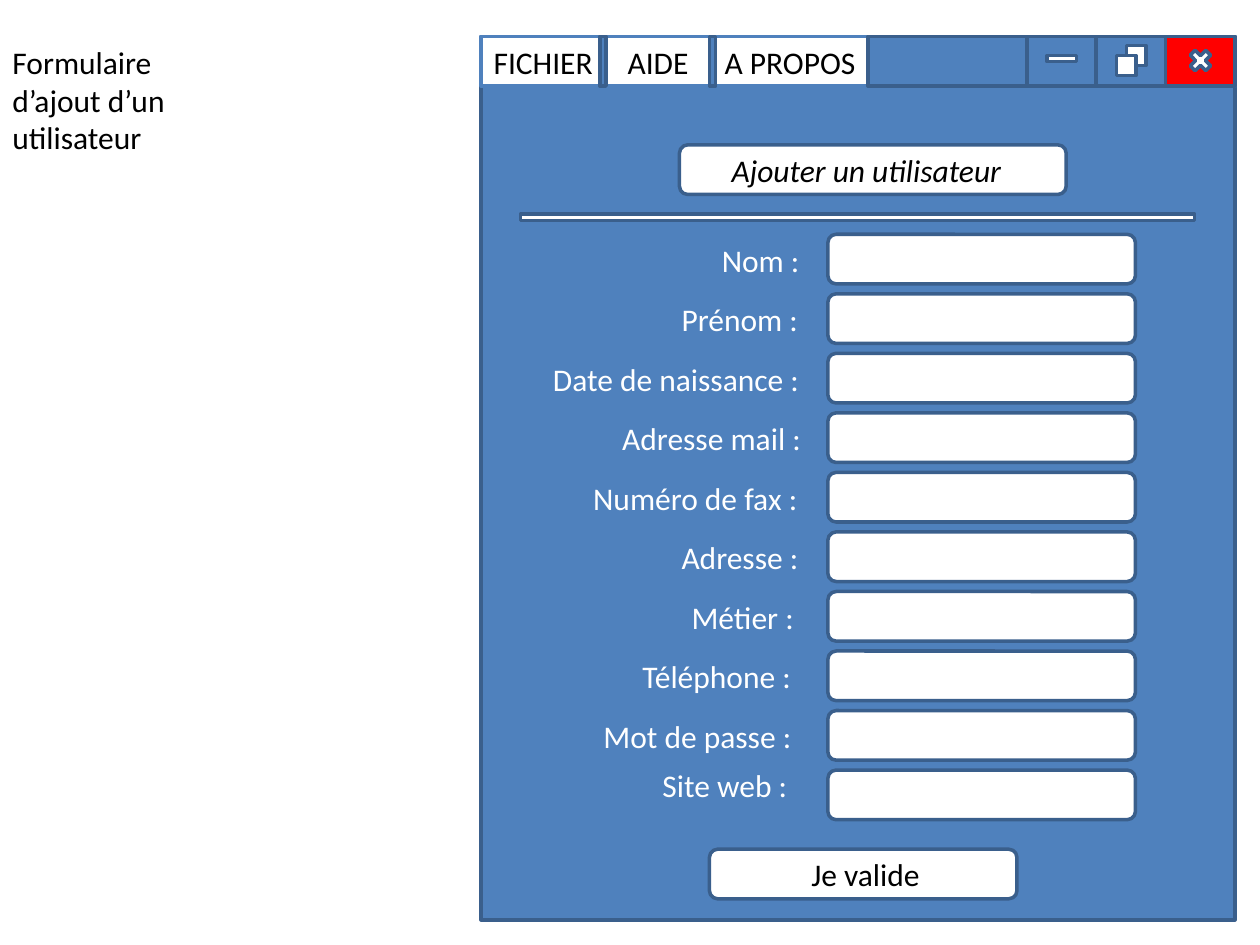
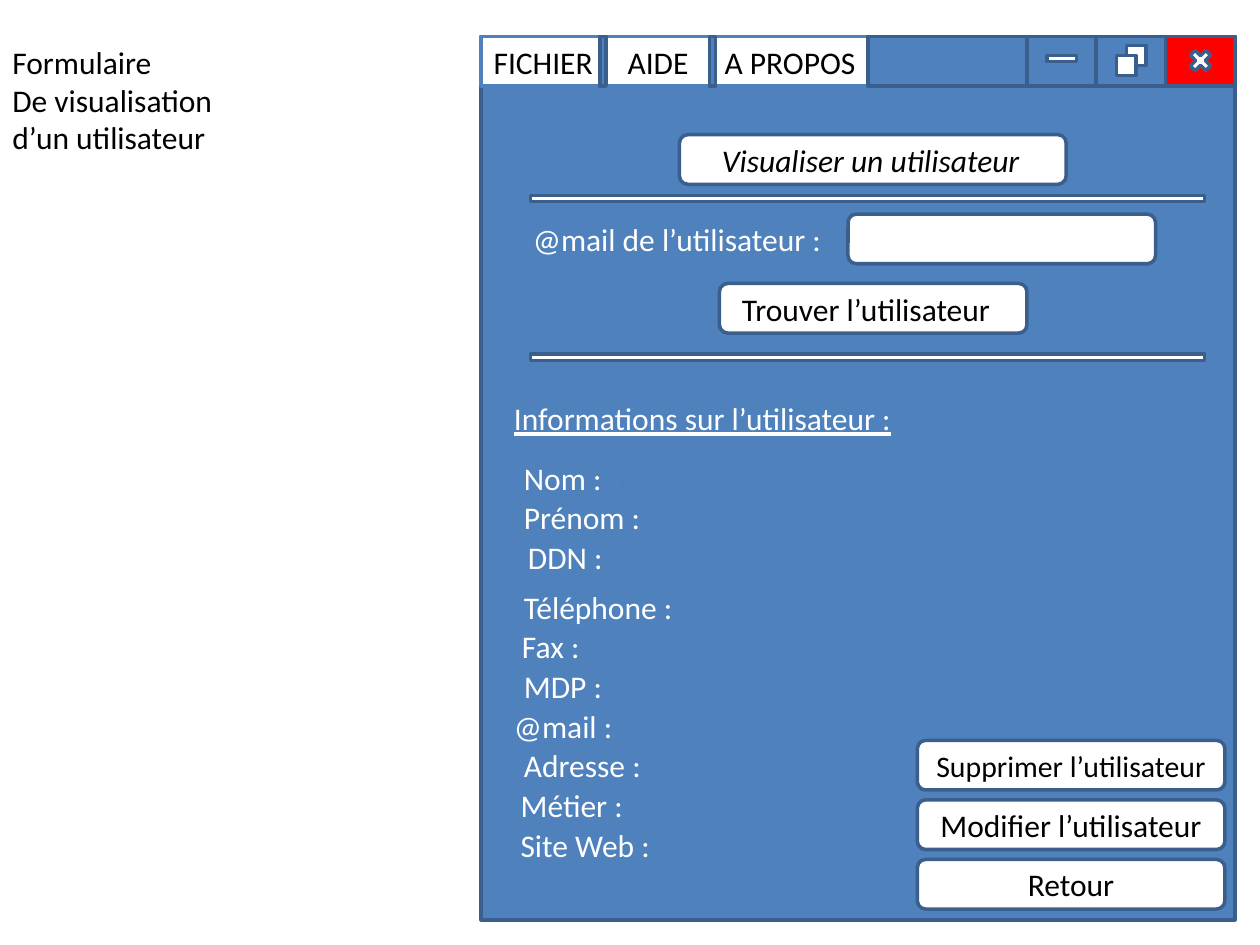
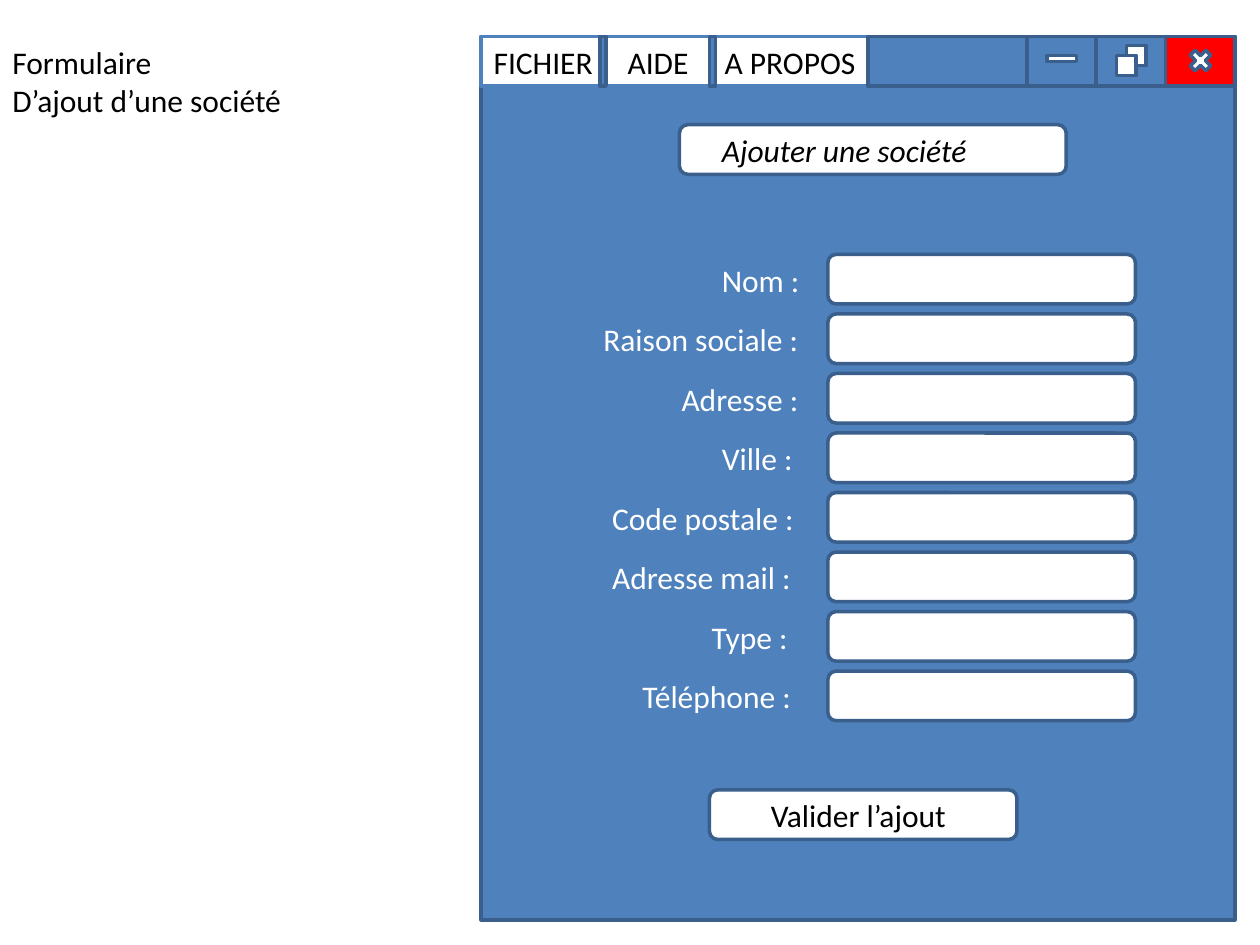
"""Build three mock-up pages of a user and company management window."""
from lxml import etree
from pptx import Presentation
from pptx.dml.color import RGBColor
from pptx.enum.shapes import MSO_CONNECTOR, MSO_SHAPE
from pptx.enum.text import MSO_ANCHOR, MSO_AUTO_SIZE, PP_ALIGN
from pptx.oxml.ns import qn
from pptx.util import Pt

RECTANGLE = MSO_SHAPE.RECTANGLE
ROUNDED = MSO_SHAPE.ROUNDED_RECTANGLE
CROSS = MSO_SHAPE.MATH_MULTIPLY
STRAIGHT = MSO_CONNECTOR.STRAIGHT
LEFT, CENTER = PP_ALIGN.LEFT, PP_ALIGN.CENTER
TOP, MIDDLE = MSO_ANCHOR.TOP, MSO_ANCHOR.MIDDLE
GROW = MSO_AUTO_SIZE.SHAPE_TO_FIT_TEXT

FONT = "Calibri"
BLUE, EDGE, FAINT = "4F81BD", "3A5F8C", "4B7EBC"
WHITE, BLACK, RED = "FFFFFF", "000000", "FF0000"

WINDOW_LEFT, WINDOW_TOP, WINDOW_WIDTH, WINDOW_HEIGHT = 275, 20.9, 430.6, 504.7
WINDOW_RIGHT = WINDOW_LEFT + WINDOW_WIDTH
BAR, CONTROL, FIELD = 28.35, 39.6, 175.75
LINE, ROW, INFO_ROW, INFO_GAP = 29.1, 34.02, 22.68, 5.7
FIELD_LEFT, VALIDATE_LEFT, RULE_WIDTH = 473.1, 405.4, 385.3
TITLE_LEFT, TITLE_WIDTH = 388.3, 221

MENU = "FICHIER\tAIDE\tA PROPOS"
MENU_TABS = (76.6, 132)
SEPARATORS = (342.7, 405.4)

ADD_USER = {
    "caption": ("Formulaire", "d’ajout d’un", "utilisateur"),
    "caption_width": 106.6,
    "title": ("Ajouter un utilisateur", 411, 82.8),
    "rules": [(297.4, 122.4)],
    "fields_top": 133.9,
    "fields": [
        ("Nom :", 405.4, 59.8, 0), ("Prénom :", 382.4, 82.1, 0),
        ("Date de naissance :", 308.9, 157, 0), ("Adresse mail :", 348.5, 118.1, 0),
        ("Numéro de fax :", 331.9, 132.5, 0), ("Adresse :", 382.4, 82.1, 0),
        ("Métier :", 388.1, 73.4, 0), ("Téléphone :", 360, 100.8, 0),
        ("Mot de passe :", 337.7, 123.1, 0), ("Site web :", 371.5, 86.4, -5.7),
    ],
    "validate": ("Je valide", 456.5, 77.3, 485.3),
}
VIEW_USER = {
    "caption": ("Formulaire", "De visualisation", "d’un utilisateur"),
    "caption_width": 134.6,
    "title": ("Visualiser un utilisateur", 405.4, 77),
    "rules": [(303.1, 111.6), (303.1, 202.3)],
}
ADD_COMPANY = {
    "caption": ("Formulaire", "D’ajout d’une société"),
    "caption_width": 169.9,
    "title": ("Ajouter une société", 405.4, 71.3),
    "rules": [],
    "fields_top": 145.4,
    "fields": [
        ("Nom :", 405.4, 59.8, 0), ("Raison sociale :", 337.7, 127.4, 0),
        ("Adresse :", 382.4, 82.1, 0), ("Ville :", 405.4, 55.4, 0),
        ("Code postale :", 342.7, 119.5, 0), ("Adresse mail :", 342.7, 118.1, 0),
        ("Type :", 399.6, 58.3, 0), ("Téléphone :", 360, 100.8, 0),
    ],
    "validate": ("Valider l’ajout", 433.4, 115.9, 451.4),
}

SEARCH_LABEL = ("@mail de l’utilisateur :", 297.4, 122.4, 181.4)
SEARCH_BUTTON = ("Trouver l’utilisateur", 416.9, 162, 157.7)
INFO_HEADING = ("Informations sur l’utilisateur :", 286.6, 224.6, 232.6)
INFO_TOP = 258.5
INFO = [
    [("Nom :", 292.3, 59.8), ("Prénom :", 292.3, 82.1), ("DDN :", 294.6, 58.2)],
    [("Téléphone :", 292.3, 100.8), ("Fax :", 291.2, 48.7), ("MDP :", 292.3, 59.8),
     ("@mail :", 286.6, 82.1), ("Adresse :", 292.3, 82.1),
     ("Métier :", 290.4, 73.9), ("Site Web :", 290.4, 89.7)],
]
ACTIONS_LEFT, ACTIONS_TOP = 524.2, 423.1
ACTIONS = [("Supprimer l’utilisateur", 17), ("Modifier l’utilisateur", 18), ("Retour", 18)]


def color(value):
    """Turn a hex string into a colour."""
    return RGBColor.from_string(value)


def write(frame, text, size=18, ink=BLACK, italic=False, underline=False,
          align=LEFT, anchor=TOP):
    """Fill a text frame, one paragraph per line of text."""
    frame.vertical_anchor = anchor
    for index, line in enumerate(text.split("\n")):
        para = frame.add_paragraph() if index else frame.paragraphs[0]
        para.alignment = align
        span = para.add_run()
        span.text = line
        span.font.name, span.font.size = FONT, Pt(size)
        span.font.italic, span.font.underline = italic, underline
        span.font.color.rgb = color(ink)


def add_text(page, text, left, top, width, height=LINE, wrap=False, **style):
    """Add a text box that grows with its text."""
    box = page.shapes.add_textbox(Pt(left), Pt(top), Pt(width), Pt(height))
    box.text_frame.word_wrap = wrap
    box.text_frame.auto_size = GROW
    write(box.text_frame, text, **style)
    return box


def add_panel(page, left, top, width, height, fill=WHITE, edge=EDGE, kind=RECTANGLE):
    """Add a filled and outlined shape."""
    shape = page.shapes.add_shape(kind, Pt(left), Pt(top), Pt(width), Pt(height))
    shape.shadow.inherit = False
    shape.fill.solid()
    shape.fill.fore_color.rgb = color(fill)
    shape.line.color.rgb = color(edge)
    shape.line.width = Pt(2)
    return shape


def add_field(page, left, top, width=FIELD):
    """Add a white rounded field or button."""
    return add_panel(page, left, top, width, BAR, kind=ROUNDED)


def add_menu(page):
    """Add the menu labels, spaced by tab stops."""
    box = add_text(page, MENU, WINDOW_LEFT, WINDOW_TOP, 311.8, wrap=True)
    properties = box.text_frame.paragraphs[0]._p.get_or_add_pPr()
    stops = etree.SubElement(properties, qn("a:tabLst"))
    for place in MENU_TABS:
        etree.SubElement(stops, qn("a:tab"), pos=str(int(Pt(place))), algn="l")


def add_window(page):
    """Add the window with its menu bar and control buttons."""
    top = WINDOW_TOP
    add_panel(page, WINDOW_LEFT, top, WINDOW_WIDTH, WINDOW_HEIGHT, BLUE)
    add_panel(page, WINDOW_LEFT, top, WINDOW_WIDTH, BAR, edge=BLUE)
    close, restore, minimize = [WINDOW_RIGHT - CONTROL * n for n in (1, 2, 3)]
    for left, fill in ((close, RED), (restore, BLUE), (minimize, BLUE)):
        add_panel(page, left, top, CONTROL, BAR, fill)
    add_panel(page, minimize + 11.5, top + 10.8, 17, 3.6)
    add_panel(page, close + 11.5, top + 5.2, 17, 17, kind=CROSS)
    for left, drop in ((17.2, 5.2), (11.5, 10.9)):
        add_panel(page, restore + left, top + drop, 11.4, 11.4)
    add_menu(page)
    add_panel(page, 496.1, top, minimize - 496.1, BAR, BLUE)
    for left in SEPARATORS:
        add_panel(page, left, top, 3.6, BAR, BLUE)


def add_page(deck, content):
    """Add a page with window, caption, title and rules."""
    page = deck.slides.add_slide(deck.slide_layouts[6])
    add_window(page)
    title, left, top = content["title"]
    add_field(page, TITLE_LEFT, top, TITLE_WIDTH)
    add_text(page, title, left, top, 187.2, wrap=True, italic=True)
    caption = content["caption"]
    add_text(page, "\n".join(caption), 0, WINDOW_TOP, content["caption_width"],
             7.2 + 21.9 * len(caption), wrap=True)
    for left, top in content["rules"]:
        add_panel(page, left, top, RULE_WIDTH, 3.6)
    return page


def add_form(deck, content):
    """Add a page with labelled fields and a validation button."""
    page = add_page(deck, content)
    for index, (label, left, width, shift) in enumerate(content["fields"]):
        top = content["fields_top"] + index * ROW
        add_field(page, FIELD_LEFT, top)
        add_text(page, label, left, top + shift, width, ink=WHITE)
    label, left, width, top = content["validate"]
    add_field(page, VALIDATE_LEFT, top)
    add_text(page, label, left, top, width)


def add_view(deck, content):
    """Add the page that finds a user and lists the details."""
    page = add_page(deck, content)
    label, left, top, width = SEARCH_LABEL
    add_field(page, 484.6, top)
    add_text(page, label, left, top, width, ink=WHITE)
    label, left, top, width = SEARCH_BUTTON
    add_field(page, 411.1, top)
    add_text(page, label, left, top, width)
    heading, left, top, width = INFO_HEADING
    add_text(page, heading, left, top, width, ink=WHITE, underline=True)
    top = INFO_TOP
    for group in INFO:
        for label, left, width in group:
            add_text(page, label, left, top, width, ink=WHITE)
            top += INFO_ROW
        top += INFO_GAP
    diagonal = page.shapes.add_connector(STRAIGHT, Pt(354.3), Pt(275.8), Pt(426.3), Pt(347.8))
    diagonal.line.color.rgb = color(FAINT)
    diagonal.line.width = Pt(0.75)
    etree.SubElement(diagonal._element.spPr, qn("a:effectLst"))
    for index, (label, size) in enumerate(ACTIONS):
        button = add_field(page, ACTIONS_LEFT, ACTIONS_TOP + index * ROW)
        write(button.text_frame, label, size=size, align=CENTER, anchor=MIDDLE)


deck = Presentation()
deck.slide_width, deck.slide_height = Pt(720), Pt(540)
add_form(deck, ADD_USER)
add_view(deck, VIEW_USER)
add_form(deck, ADD_COMPANY)
deck.save("out.pptx")
